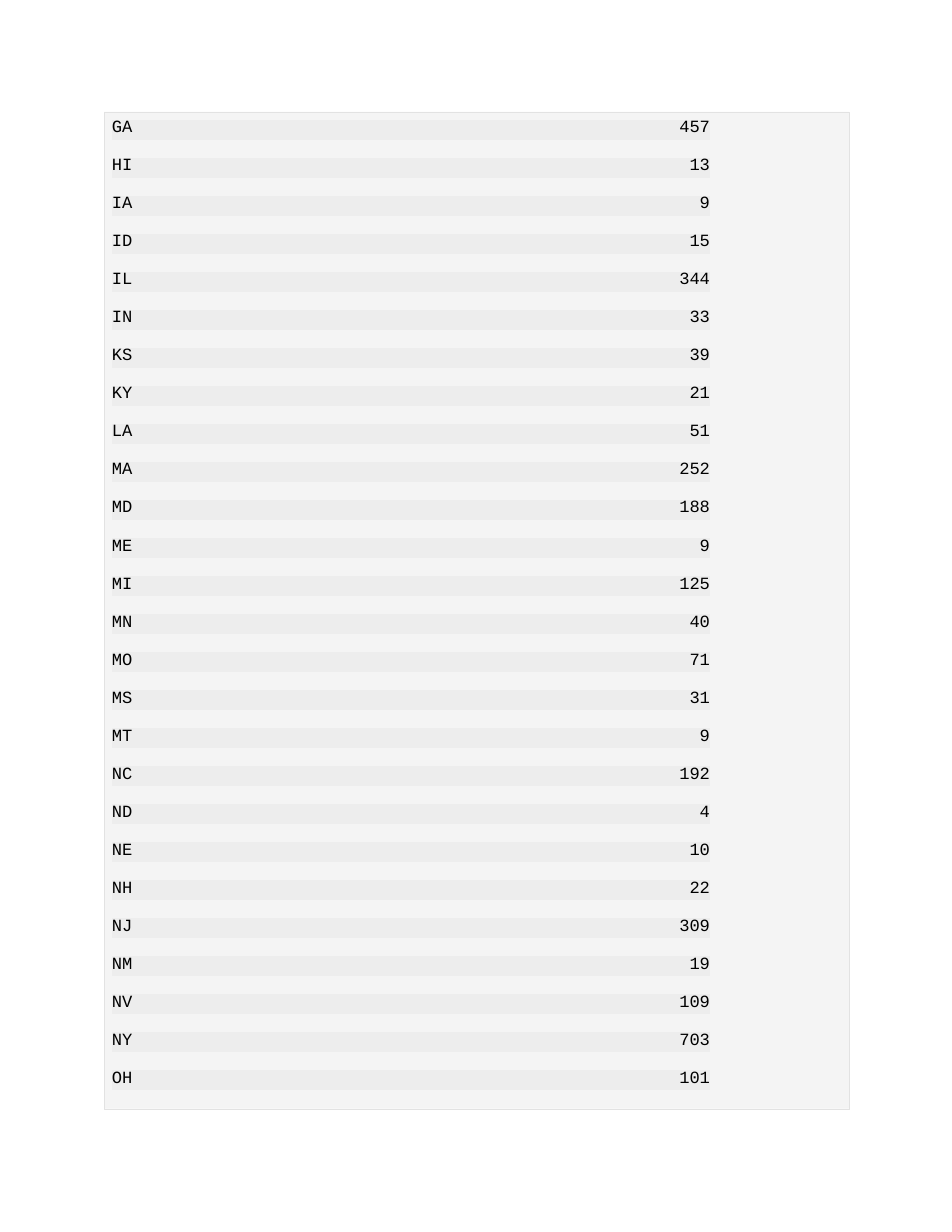
from dataclasses import dataclass

from lxml import etree
from pptx import Presentation
from pptx import util as u
from pptx.dml.color import RGBColor
from pptx.enum import shapes, text
from pptx.oxml import ns


@dataclass(frozen=True)
class Theme:
    font: str = "Courier New"
    size: float = 11
    leading: float = 11.8
    spacing: str = "-10"
    spacer_size: str = "200"
    ink: RGBColor = RGBColor(0, 0, 0)
    panel: RGBColor = RGBColor(0xF4, 0xF4, 0xF4)
    band: RGBColor = RGBColor(0xED, 0xED, 0xED)
    border: RGBColor = RGBColor(0xE2, 0xE2, 0xE2)
    border_width: float = 0.25


THEME = Theme()
PANEL = (0.93, 1, 6.65, 8.9)
COLUMNS = (0.07, 2.62, 2.72)
TABLE_HEIGHT = 8.74
TOP_ROW = 0.07
STATE_ROW = 0.18
NO_GRID_STYLE = "{2D5ABB26-0587-4C30-8999-92F81FD0307C}"

STATE_COUNTS = (
    ("GA", 457), ("HI", 13), ("IA", 9), ("ID", 15), ("IL", 344),
    ("IN", 33), ("KS", 39), ("KY", 21), ("LA", 51), ("MA", 252),
    ("MD", 188), ("ME", 9), ("MI", 125), ("MN", 40), ("MO", 71),
    ("MS", 31), ("MT", 9), ("NC", 192), ("ND", 4), ("NE", 10),
    ("NH", 22), ("NJ", 309), ("NM", 19), ("NV", 109), ("NY", 703),
    ("OH", 101),
)


def add_panel(page):
    panel = page.shapes.add_shape(
        shapes.MSO_SHAPE.RECTANGLE, *map(u.Inches, PANEL))
    panel.shadow.inherit = False
    return panel


def add_background(page):
    panel = add_panel(page)
    panel.fill.solid()
    panel.fill.fore_color.rgb = THEME.panel
    panel.line.fill.background()


def add_border(page):
    panel = add_panel(page)
    panel.fill.background()
    panel.line.color.rgb = THEME.border
    panel.line.width = u.Pt(THEME.border_width)


def clear_cell(cell):
    cell.margin_left = cell.margin_right = 0
    cell.margin_top = cell.margin_bottom = 0
    cell.fill.solid()
    cell.fill.fore_color.rgb = THEME.panel


def shrink_empty_line(cell):
    para = cell.text_frame.paragraphs[0]
    end = etree.SubElement(para._p, ns.qn("a:endParaRPr"))
    end.set("sz", THEME.spacer_size)


def write_cell(cell, words, align):
    cell.fill.fore_color.rgb = THEME.band
    para = cell.text_frame.paragraphs[0]
    para.text = words
    para.alignment = align
    para.line_spacing = u.Pt(THEME.leading)
    span = para.runs[0]
    span.font.name = THEME.font
    span.font.size = u.Pt(THEME.size)
    span.font.color.rgb = THEME.ink
    if len(words) > 1:
        span._r.get_or_add_rPr().set("spc", THEME.spacing)


def add_state_table(page):
    count = len(STATE_COUNTS)
    pitch = (TABLE_HEIGHT - TOP_ROW - STATE_ROW) / (count - 1)
    heights = [TOP_ROW, STATE_ROW] + [pitch - STATE_ROW, STATE_ROW] * (count - 1)
    frame = page.shapes.add_table(
        len(heights), len(COLUMNS), u.Inches(PANEL[0]), u.Inches(PANEL[1]),
        u.Inches(sum(COLUMNS)), u.Inches(TABLE_HEIGHT))
    table = frame.table
    table.first_row = table.horz_banding = False
    table._tbl.tblPr.find(ns.qn("a:tableStyleId")).text = NO_GRID_STYLE
    for column, width in zip(table.columns, COLUMNS):
        column.width = u.Inches(width)
    for row, height in zip(table.rows, heights):
        row.height = u.Inches(height)
    for cell in table.iter_cells():
        clear_cell(cell)
    for index, (state, number) in enumerate(STATE_COUNTS):
        row = 2 * index + 1
        write_cell(table.cell(row, 1), state, text.PP_ALIGN.LEFT)
        write_cell(table.cell(row, 2), str(number), text.PP_ALIGN.RIGHT)
    for cell in table.iter_cells():
        if not cell.text_frame.text:
            shrink_empty_line(cell)
    table.cell(0, 0).merge(table.cell(len(heights) - 3, 0))


def main():
    deck = Presentation()
    deck.slide_width = u.Inches(8.5)
    deck.slide_height = u.Inches(11)
    page = deck.slides.add_slide(deck.slide_layouts[6])
    add_background(page)
    add_state_table(page)
    add_border(page)
    deck.save("out.pptx")


if __name__ == "__main__":
    main()
